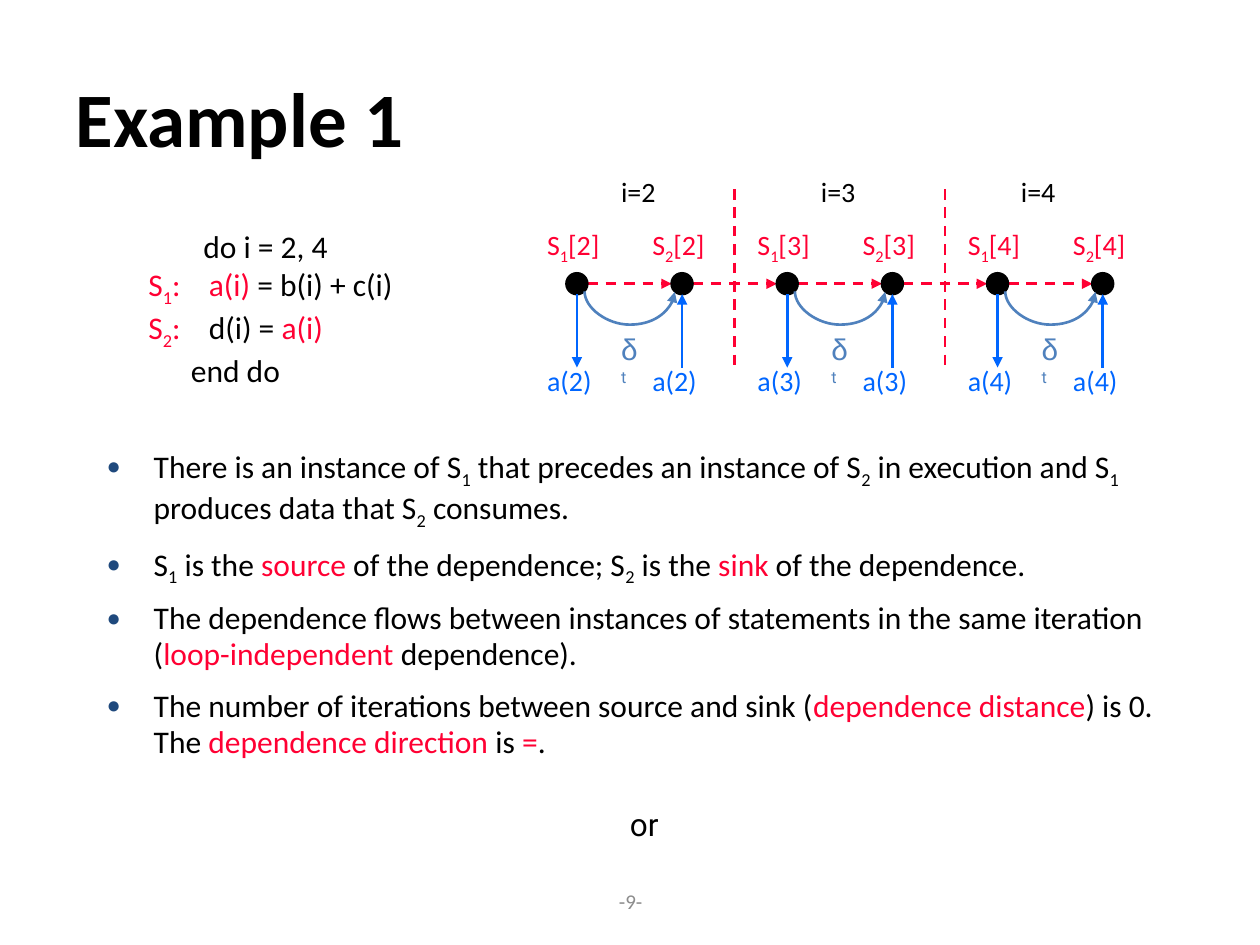
from lxml import etree
from pptx import Presentation
from pptx.dml.color import RGBColor
from pptx.enum.dml import MSO_LINE
from pptx.enum.shapes import MSO_CONNECTOR, MSO_SHAPE
from pptx.enum.text import MSO_ANCHOR, PP_ALIGN
from pptx.oxml.ns import qn
from pptx.util import Cm, Pt

BLACK = RGBColor(0x00, 0x00, 0x00)
RED = RGBColor(0xFF, 0x00, 0x33)
BLUE = RGBColor(0x00, 0x66, 0xFF)
STEEL = RGBColor(0x4F, 0x81, 0xBD)
NAVY = RGBColor(0x1F, 0x49, 0x7D)
GRAY = RGBColor(0x8C, 0x8C, 0x8C)

DASH = MSO_LINE.DASH
STRAIGHT, CURVE = MSO_CONNECTOR.STRAIGHT, MSO_CONNECTOR.CURVE
ELLIPSE = MSO_SHAPE.OVAL
LEFT, CENTER = PP_ALIGN.LEFT, PP_ALIGN.CENTER
MIDDLE, TOP = MSO_ANCHOR.MIDDLE, MSO_ANCHOR.TOP

# Timeline grid, in centimetres
FIRST_X, STEP, AXIS_Y, RADIUS = 11.63, 2.12, 5.72, 0.21
ITERATIONS = (2, 3, 4)

# In text, |...| is red and _ lowers the next character
CODE = [  # text, left indent in cm
    ("do i = 2, 4", 1.11),
    ("|S_1:\ta(i)| = b(i) + c(i)", 0),
    ("|S_2:|\td(i) = |a(i)|", 0),
    ("end do", 0.86),
]
POINTS = [
    "There is an instance of S_1 that precedes an instance of S_2 in execution"
    " and S_1 produces data that S_2 consumes.",
    "S_1 is the |source| of the dependence; S_2 is the |sink| of the dependence.",
    "The dependence flows between instances of statements in the same iteration"
    " (|loop-independent| dependence).",
    "The number of iterations between source and sink (|dependence distance|) is 0."
    " The |dependence direction| is |=|.",
]


def add_span(para, text, size=18, color=BLACK, font="Calibri", bold=False, baseline=0):
    span = para.add_run()
    span.text = text
    span.font.size, span.font.name = Pt(size), font
    span.font.color.rgb, span.font.bold = color, bold
    if baseline:
        span.font._element.set("baseline", str(baseline * 1000))


def write(para, text, align=LEFT, color=BLACK, **style):
    """Fill a paragraph from marked-up text."""
    para.alignment = align
    for number, part in enumerate(text.split("|")):
        shade = RED if number % 2 else color
        plain, *lowered = part.split("_")
        if plain:
            add_span(para, plain, color=shade, **style)
        for piece in lowered:
            add_span(para, piece[0], color=shade, baseline=-25, **style)
            if piece[1:]:
                add_span(para, piece[1:], color=shade, **style)


def add_box(page, left, top, width, height, anchor=TOP):
    box = page.shapes.add_textbox(Cm(left), Cm(top), Cm(width), Cm(height))
    box.text_frame.word_wrap = True
    box.text_frame.vertical_anchor = anchor
    return box.text_frame


def add_label(page, text, left, top, width, height=0.94, anchor=TOP, **style):
    frame = add_box(page, left, top, width, height, anchor)
    write(frame.paragraphs[0], text, **style)


def add_paragraphs(frame, count):
    """Return the given number of paragraphs of a fresh frame."""
    return frame.paragraphs + tuple(frame.add_paragraph() for _ in range(count - 1))


def add_line(page, start, end, color, kind=STRAIGHT, dashed=False, arrow=True):
    line = page.shapes.add_connector(kind, *(Cm(value) for value in start + end))
    line.line.color.rgb, line.line.width = color, Pt(1.5)
    if dashed:
        line.line.dash_style = DASH
    if arrow:
        etree.SubElement(line.line._get_or_add_ln(), qn("a:tailEnd"), type="triangle")
    etree.SubElement(line._element.spPr, qn("a:effectLst"))
    return line


def add_arc(page, left, right, y, depth):
    """Curved arrow hanging below two points of equal height."""
    middle, half = (left + right) / 2, (right - left) / 2
    thin = 0.01
    arc = add_line(page, (middle, y - half), (middle + thin, y + half), STEEL, CURVE)
    frame = arc._element.spPr.find(qn("a:xfrm"))
    frame.set("rot", "16200000")
    frame.set("flipH", "1")
    geometry = arc._element.spPr.find(qn("a:prstGeom"))
    guides = geometry.find(qn("a:avLst"))
    if guides is None:
        guides = etree.SubElement(geometry, qn("a:avLst"))
    ratio = round(depth / thin * 100000)
    etree.SubElement(guides, qn("a:gd"), name="adj1", fmla=f"val {ratio}")


def add_node(page, x):
    node = page.shapes.add_shape(
        ELLIPSE, Cm(x - RADIUS), Cm(AXIS_Y - RADIUS), Cm(2 * RADIUS), Cm(2 * RADIUS))
    node.shadow.inherit = False
    node.fill.solid()
    node.fill.fore_color.rgb = node.line.color.rgb = BLACK
    node.line.width = Pt(1.5)


def add_code(page):
    frame = add_box(page, 2.74, 4.45, 7.42, 3.3)
    for para, (text, indent) in zip(add_paragraphs(frame, len(CODE)), CODE):
        write(para, text)
        props = para._p.get_or_add_pPr()
        props.set("marL", str(Cm(indent)))
        tabs = etree.SubElement(props, qn("a:tabLst"))
        etree.SubElement(tabs, qn("a:tab"), pos=str(Cm(1.22)), algn="l")


def add_points(page):
    frame = add_box(page, 1.9, 8.89, 21.6, 6.78)
    for para, text in zip(add_paragraphs(frame, len(POINTS)), POINTS):
        write(para, text)
        para.line_spacing = 0.95
        para.space_before, para.space_after = Pt(5.4), Pt(3.6)
        props = para._p.get_or_add_pPr()
        props.set("marL", str(Cm(0.95)))
        props.set("indent", str(-Cm(0.95)))
        shade = etree.SubElement(props, qn("a:buClr"))
        etree.SubElement(shade, qn("a:srgbClr"), val=str(NAVY))
        etree.SubElement(props, qn("a:buSzPct"), val="75000")
        etree.SubElement(props, qn("a:buFont"), typeface="Arial")
        etree.SubElement(props, qn("a:buChar"), char="●")


def add_timeline(page):
    nodes = [FIRST_X + STEP * index for index in range(2 * len(ITERATIONS))]
    # Execution order
    for x, following in zip(nodes, nodes[1:]):
        add_line(page, (x + RADIUS, AXIS_Y), (following - RADIUS, AXIS_Y), RED, dashed=True)
    for x in nodes:
        add_node(page, x)
    # Borders between iterations
    for x in nodes[1:-1:2]:
        border = x + STEP / 2
        add_line(page, (border, 3.81), (border, 7.41), RED, dashed=True, arrow=False)
    for index, i in enumerate(ITERATIONS):
        source, sink = nodes[2 * index:2 * index + 2]
        add_label(page, f"i={i}", 12.27 + 4.03 * index, 3.4, 1.4, size=16)
        # Statement instances and the data they touch
        for number, x in ((1, source), (2, sink)):
            add_label(page, f"|S_{number}[{i}]|", x - 0.85, 4.47, 1.9, size=16)
            add_label(page, f"a({i})", x - 0.85, 7.21, 1.6, size=16, color=BLUE)
        near, far = AXIS_Y + RADIUS, 7.41
        add_line(page, (source, near), (source, far), BLUE)
        add_line(page, (sink, far), (sink, near), BLUE)
        # True dependence
        add_arc(page, source + 0.15, sink - 0.15, 5.88, 0.67)
        para = add_box(page, source + 0.64, 6.55, 0.88, 0.97).paragraphs[0]
        add_span(para, "δ", size=17, color=STEEL, font="Arial")
        add_span(para, "t", size=16, color=STEEL, font="Roboto", baseline=50)


def main():
    deck = Presentation()
    deck.slide_width, deck.slide_height = Cm(25.4), Cm(19.05)
    page = deck.slides.add_slide(deck.slide_layouts[5])

    # Title
    title = page.shapes.title
    title.left, title.top, title.width, title.height = Cm(1.27), Cm(0.76), Cm(22.86), Cm(3.18)
    title.text_frame.vertical_anchor = MIDDLE
    write(title.text_frame.paragraphs[0], "Example 1", size=44, bold=True)

    add_code(page)
    add_timeline(page)
    add_points(page)

    # Closing word and page number
    add_label(page, "or", 12.45, 16.1, 1.3, 1.02, font="Roboto")
    add_label(page, "-9-", 8.69, 17.65, 8.05, 1.02, MIDDLE, align=CENTER, size=12, color=GRAY)
    deck.save("out.pptx")


if __name__ == "__main__":
    main()
